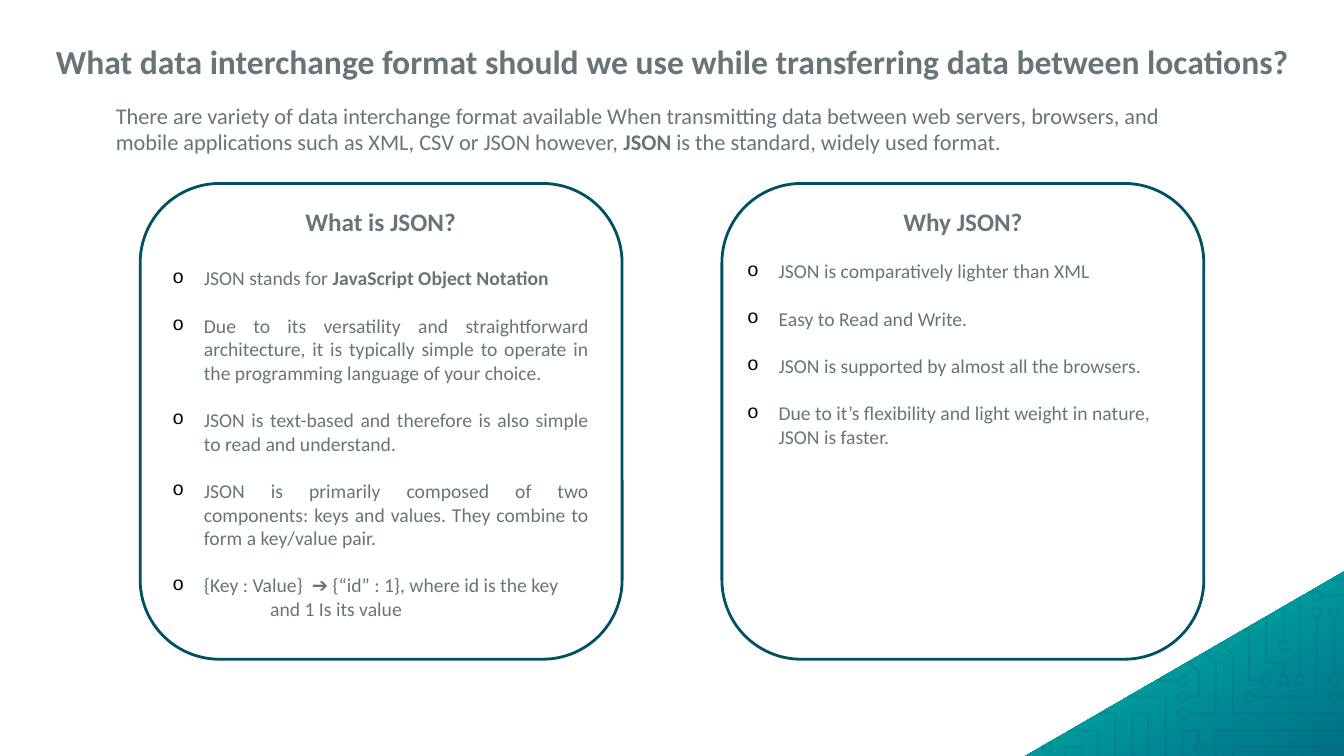
from copy import deepcopy
from math import cos, pi, sin

from lxml.etree import SubElement
from pptx import Presentation
from pptx.dml.color import RGBColor
from pptx.enum.shapes import MSO_SHAPE as Shape
from pptx.enum.text import MSO_ANCHOR as Anchor, MSO_AUTO_SIZE as AutoSize, PP_ALIGN as Align
from pptx.oxml.ns import qn
from pptx.util import Inches, Pt

GREY = RGBColor(0x67, 0x75, 0x79)
BORDER = RGBColor(0x00, 0x51, 0x62)
CIRCUIT = RGBColor(0x00, 0x22, 0x6D)
GRADIENT = [
    (0, RGBColor(0x00, 0xCC, 0xA0)),
    (0.5, RGBColor(0x00, 0x98, 0x9A)),
    (1, RGBColor(0x00, 0x6E, 0x85)),
]
FONT = "Calibri"
HANG = Pt(22.5)
UNITS_PER_INCH = 1000
PAD_RADIUS = 0.05
PAD_SIDES = 8

TITLE = "What data interchange format should we use while transferring data between locations?"
INTRO = (
    "There are variety of data interchange format available When transmitting data between "
    "web servers, browsers, and mobile applications such as XML, CSV or JSON however, "
    "**JSON** is the standard, widely used format."
)
WHAT_ITEMS = [
    "JSON stands for **JavaScript Object Notation**",
    "Due to its versatility and straightforward architecture, it is typically simple to "
    "operate in the programming language of your choice.",
    "JSON is text-based and therefore is also simple to read and understand.",
    "JSON is primarily composed of two components: keys and values. They combine to form "
    "a key/value pair.",
]
PAIR_ITEM = "{Key : Value}  ➔ {“id” : 1}, where id is the key"
PAIR_REST = "and 1 Is its value"
WHY_ITEMS = [
    "JSON is comparatively lighter than XML",
    "Easy to Read and Write.",
    "JSON is supported by almost all the browsers.",
    "Due to it’s flexibility and light weight in nature, JSON is faster.",
]

TRIANGLE = [(13.33, 5.67), (10.17, 7.5), (13.33, 7.5)]
PADS = [
    (13.23, 6.91), (12.73, 6.75), (12.56, 6.75), (12.73, 6.41), (13.06, 5.91),
    (12.89, 6.75), (13.23, 6.08), (13.23, 6.75), (12.39, 6.91), (13.06, 6.08),
    (11.73, 6.91), (11.89, 7.41), (11.73, 7.08), (10.39, 7.41), (11.73, 6.75),
]
TRACES = [
    [(13.28, 6.91), (13.33, 6.91)],
    [(12.73, 6.7), (12.73, 6.58), (12.56, 6.58), (12.56, 6.13)],
    [(12.51, 6.75), (12.39, 6.75), (12.39, 6.25), (12.34, 6.25)],
    [(12.73, 6.36), (12.73, 6.03)],
    [(12.23, 7.5), (12.23, 7.41), (13.33, 7.41)],
    [(13.21, 5.75), (13.33, 5.75)],
    [(13.11, 5.91), (13.33, 5.91)],
    [(12.89, 6.7), (12.89, 5.93)],
    [(13.23, 6.13), (13.23, 6.7)],
    [(12.44, 6.91), (13.06, 6.91), (13.06, 6.13)],
    [(11.78, 6.91), (11.89, 6.91), (11.89, 6.66), (11.79, 6.56)],
    [(11.23, 7.5), (11.23, 7.08), (11.39, 7.08), (11.39, 7.5)],
    [(11.19, 6.91), (11.56, 6.91), (11.56, 7.5)],
    [(12.11, 6.38), (12.23, 6.5), (12.23, 7.08), (13.33, 7.08)],
    [(11.89, 7.36), (11.89, 7.25), (11.73, 7.25), (11.73, 7.5)],
    [(12.06, 7.5), (12.06, 7.25), (13.33, 7.25)],
    [(11.78, 7.08), (12.06, 7.08), (12.06, 6.58), (11.95, 6.47)],
    [(10.34, 7.41), (10.32, 7.41)],
    [(10.9, 7.08), (11.06, 7.08), (11.06, 7.5)],
    [(11.67, 6.75), (11.48, 6.75)],
    [(10.56, 7.5), (10.56, 7.41), (10.73, 7.41), (10.73, 7.5)],
    [(10.61, 7.25), (10.89, 7.25), (10.89, 7.5)],
]


def apply(target, values):
    """Set each named attribute of the target."""
    for name, value in values.items():
        setattr(target, name, value)


def place(shape, left, top, width, height):
    """Move and size a shape, in inches."""
    apply(shape, {"left": Inches(left), "top": Inches(top),
                  "width": Inches(width), "height": Inches(height)})


def prepare_frame(shape, inset_x=0.1, inset_y=0.05):
    """Give a text frame fixed insets, wrapping and a top anchor."""
    frame = shape.text_frame
    apply(frame, {"word_wrap": True, "auto_size": AutoSize.NONE,
                  "vertical_anchor": Anchor.TOP,
                  "margin_left": Inches(inset_x), "margin_right": Inches(inset_x),
                  "margin_top": Inches(inset_y), "margin_bottom": Inches(inset_y)})
    return frame


def write(para, text, size, bold=False, align=Align.LEFT, before=0, spacing=1.0):
    """Fill a paragraph, with text between double asterisks in bold."""
    apply(para, {"alignment": align, "space_before": Pt(before),
                 "space_after": Pt(0), "line_spacing": spacing})
    for index, part in enumerate(text.split("**")):
        if part:
            span = para.add_run()
            span.text = part
            apply(span.font, {"name": FONT, "size": Pt(size), "bold": bold or index % 2 == 1})
            span.font.color.rgb = GREY


def set_bullet(para, left=HANG, hang=HANG, char="o"):
    """Set the indent and a black bullet, or none without a character."""
    properties = para._p.get_or_add_pPr()
    properties.set("marL", str(left))
    properties.set("indent", str(-hang))
    if char:
        color = SubElement(properties, qn("a:buClr"))
        SubElement(color, qn("a:srgbClr"), val="000000")
        SubElement(properties, qn("a:buFont"), typeface="Courier New")
        SubElement(properties, qn("a:buChar"), char=char)
    else:
        SubElement(properties, qn("a:buNone"))


def add_item(frame, item, align=Align.LEFT, before=17):
    """Add one bulleted item."""
    para = frame.add_paragraph()
    write(para, item, 14, align=align, before=before)
    set_bullet(para)


def fill_list(frame, heading, items, align, first_gap):
    """Write a centred heading and its bulleted items."""
    para = frame.paragraphs[0]
    write(para, heading, 18, bold=True, align=Align.CENTER)
    set_bullet(para, 0, 0, None)
    for index, item in enumerate(items):
        add_item(frame, item, align, 17 if index else first_gap)


def add_panel(page, left):
    """Draw a rounded outline behind a list."""
    panel = page.shapes.add_shape(Shape.ROUNDED_RECTANGLE, Inches(left), Inches(1.82),
                                  Inches(4.78), Inches(4.72))
    panel.shadow.inherit = False
    panel.fill.background()
    panel.line.color.rgb = BORDER
    panel.line.width = Pt(2)


def add_outline(page, contours):
    """Build one freeform from (points in inches, closed) contours."""
    builder = None
    for points, closed in contours:
        start, *rest = [(round(x * UNITS_PER_INCH), round(y * UNITS_PER_INCH))
                        for x, y in points]
        if builder is None:
            builder = page.shapes.build_freeform(*start, scale=Inches(1) / UNITS_PER_INCH)
        else:
            builder.move_to(*start)
        builder.add_line_segments(rest, close=closed)
    outline = builder.convert_to_shape()
    outline.shadow.inherit = False
    return outline


def pad_points(x, y):
    """Return the corners of a round pad."""
    angles = [2 * pi * (side + 0.5) / PAD_SIDES for side in range(PAD_SIDES)]
    return [(x + PAD_RADIUS * cos(angle), y + PAD_RADIUS * sin(angle)) for angle in angles]


def add_corner(page):
    """Draw the gradient triangle in the corner."""
    corner = add_outline(page, [(TRIANGLE, True)])
    corner.line.fill.background()
    corner.fill.gradient()
    corner.fill.gradient_angle = 300
    stops = corner._element.spPr.find(".//" + qn("a:gsLst"))
    stops.append(deepcopy(stops[0]))
    for stop, (position, color) in zip(corner.fill.gradient_stops, GRADIENT):
        stop.position = position
        stop.color.rgb = color


def add_circuit(page):
    """Draw the faint circuit pattern as one outline."""
    contours = [(points, False) for points in TRACES]
    contours += [(pad_points(x, y), True) for x, y in PADS]
    circuit = add_outline(page, contours)
    circuit.fill.background()
    circuit.line.color.rgb = CIRCUIT
    circuit.line.width = Pt(1.5)
    color = circuit.line._ln.find(".//" + qn("a:srgbClr"))
    SubElement(color, qn("a:alpha"), val="10000")


def main():
    """Build the slide and save it."""
    deck = Presentation()
    apply(deck, {"slide_width": Inches(13.33), "slide_height": Inches(7.5)})
    page = deck.slides.add_slide(deck.slide_layouts[3])
    title, what, why = list(page.placeholders)[:3]
    add_corner(page)
    add_circuit(page)
    for left in (1.39, 7.16):
        add_panel(page, left)
    place(title, 0.19, 0.39, 12.96, 0.5)
    write(prepare_frame(title, 0, 0).paragraphs[0], TITLE, 24, bold=True,
          align=Align.CENTER, spacing=1.05)
    intro = page.shapes.add_textbox(Inches(1.05), Inches(0.96), Inches(11.07), Inches(0.64))
    write(prepare_frame(intro).paragraphs[0], INTRO, 16)
    place(what, 1.61, 2, 4.33, 4.71)
    frame = prepare_frame(what)
    fill_list(frame, "What is JSON?", WHAT_ITEMS, Align.JUSTIFY, 21)
    add_item(frame, PAIR_ITEM)
    rest = frame.add_paragraph()
    write(rest, PAIR_REST, 14)
    set_bullet(rest, Inches(0.97), 0, None)
    place(why, 7.31, 2, 4.48, 3)
    fill_list(prepare_frame(why), "Why JSON?", WHY_ITEMS, Align.LEFT, 16)
    deck.save("out.pptx")


if __name__ == "__main__":
    main()
